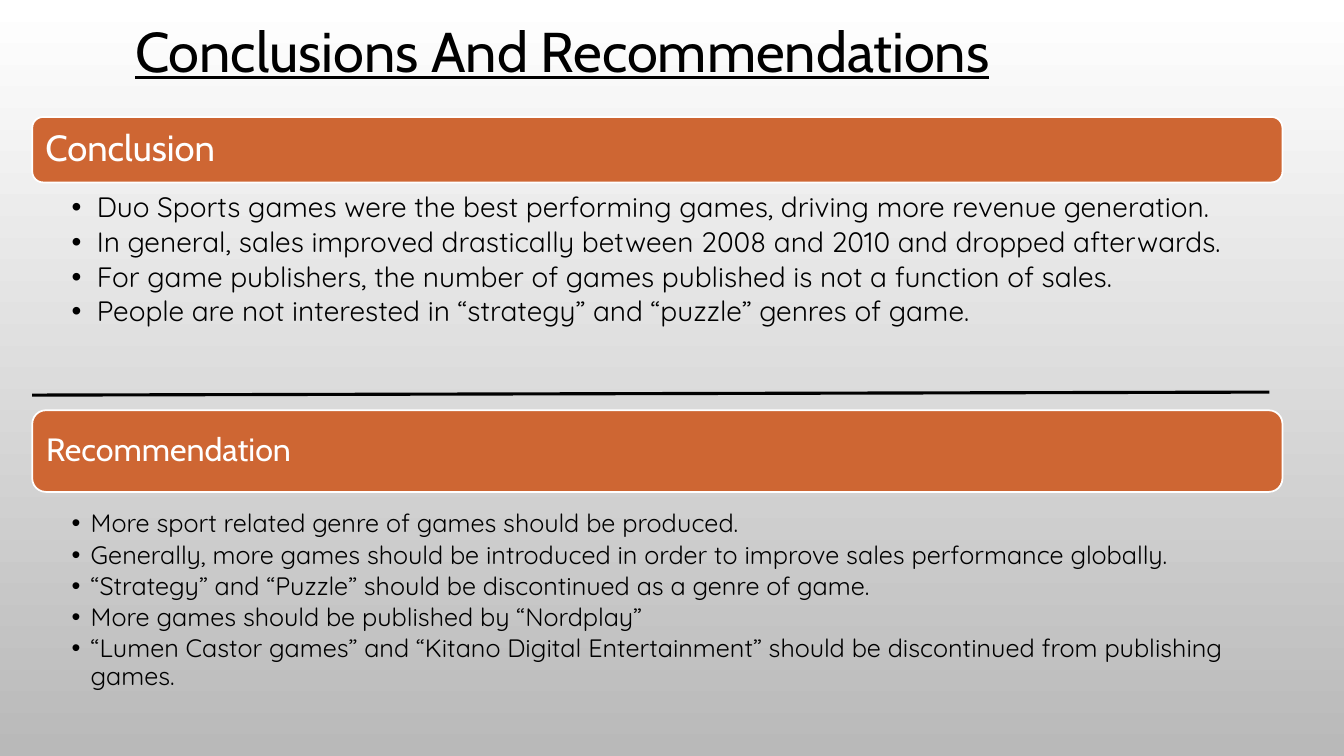
from dataclasses import dataclass

from lxml import etree
from pptx import Presentation
from pptx.dml.color import RGBColor
from pptx.enum import shapes, text
from pptx.oxml import ns
from pptx.util import Inches, Pt


@dataclass(frozen=True)
class Theme:
    heading_font: str = "Cabin"
    body_font: str = "Quicksand"
    black: RGBColor = RGBColor(0x00, 0x00, 0x00)
    white: RGBColor = RGBColor(0xFF, 0xFF, 0xFF)
    grey: RGBColor = RGBColor(0xB9, 0xB9, 0xB9)
    orange: RGBColor = RGBColor(0xCE, 0x66, 0x33)
    title_size: int = 40


theme = Theme()
LEFT, WIDTH = 0.32, 12.4

# Each section: heading, heading size, banner top and height,
# list top and height, list size, bullet indent, right inset, points
sections = [
    ("Conclusion", 26, 1.16, 0.65, 1.89, 1.82, 20, 0.25, 0.2, [
        "Duo Sports games were the best performing games, driving more revenue generation.",
        "In general, sales improved drastically between 2008 and 2010 and dropped afterwards.",
        "For game publishers, the number of games published is not a function of sales.",
        "People are not interested in “strategy” and “puzzle” genres of game.",
    ]),
    ("Recommendation", 23, 4.07, 0.81, 5.04, 1.99, 18, 0.19, 0.14, [
        "More sport related genre of games should be produced.",
        "Generally, more games should be introduced in order to improve sales performance globally.",
        "“Strategy” and “Puzzle” should be discontinued as a genre of game.",
        "More games should be published by “Nordplay”",
        "“Lumen Castor games” and “Kitano Digital Entertainment” should be discontinued from publishing games.",
    ]),
]


def style(paragraph, font_name, size, color):
    paragraph.font.name = font_name
    paragraph.font.size = Pt(size)
    paragraph.font.color.rgb = color


def add_bullet(paragraph, indent):
    properties = paragraph._p.get_or_add_pPr()
    properties.set("marL", str(Inches(indent)))
    properties.set("indent", str(-Inches(indent)))
    font = etree.SubElement(properties, ns.qn("a:buFont"))
    font.set("typeface", "Arial")
    bullet = etree.SubElement(properties, ns.qn("a:buChar"))
    bullet.set("char", "•")


presentation = Presentation()
presentation.slide_width = Inches(13.33)
presentation.slide_height = Inches(7.5)
slide = presentation.slides.add_slide(presentation.slide_layouts[5])

# Background: white at the top to grey at the bottom
background = slide.background.fill
background.gradient()
background.gradient_angle = 270
for stop, color in zip(background.gradient_stops, (theme.white, theme.grey)):
    stop.color.rgb = color

# Title
title = slide.shapes.title
title.left, title.top = Inches(1.24), Inches(0.11)
title.width, title.height = Inches(10.8), Inches(0.77)
title.text_frame.text = "Conclusions And Recommendations"
title.text_frame.vertical_anchor = text.MSO_ANCHOR.TOP
title.text_frame.auto_size = text.MSO_AUTO_SIZE.NONE
paragraph = title.text_frame.paragraphs[0]
paragraph.alignment = text.PP_ALIGN.LEFT
style(paragraph, theme.heading_font, theme.title_size, theme.black)
paragraph.font.underline = True

# Divider between the sections
divider = slide.shapes.add_connector(
    shapes.MSO_CONNECTOR.STRAIGHT,
    Inches(12.59), Inches(3.89), Inches(LEFT), Inches(3.92))
divider.line.color.rgb = theme.black
divider.line.width = Pt(2.25)
etree.SubElement(divider._element.spPr, ns.qn("a:effectLst"))

for (heading, heading_size, banner_top, banner_height, list_top, list_height,
     list_size, indent, right_inset, points) in sections:
    # Banner with the section heading
    banner = slide.shapes.add_shape(
        shapes.MSO_SHAPE.ROUNDED_RECTANGLE,
        Inches(LEFT), Inches(banner_top), Inches(WIDTH), Inches(banner_height))
    banner.shadow.inherit = False
    banner.fill.solid()
    banner.fill.fore_color.rgb = theme.orange
    banner.line.color.rgb = theme.white
    banner.line.width = Pt(1.25)
    frame = banner.text_frame
    frame.text = heading
    frame.vertical_anchor = text.MSO_ANCHOR.MIDDLE
    frame.margin_left = frame.margin_right = Inches(0.1)
    paragraph = frame.paragraphs[0]
    paragraph.alignment = text.PP_ALIGN.LEFT
    paragraph.line_spacing = 0.9
    style(paragraph, theme.heading_font, heading_size, theme.white)

    # Bulleted points
    box = slide.shapes.add_textbox(
        Inches(LEFT), Inches(list_top), Inches(WIDTH), Inches(list_height))
    frame = box.text_frame
    frame.word_wrap = True
    frame.margin_left, frame.margin_right = Inches(0.39), Inches(right_inset)
    frame.margin_top = frame.margin_bottom = Inches(0.03)
    frame.text = "\n".join(points)
    for paragraph in frame.paragraphs:
        paragraph.level = 1
        paragraph.alignment = text.PP_ALIGN.LEFT
        paragraph.line_spacing = 0.9
        paragraph.space_after = Pt(round(list_size * 0.16, 1))
        add_bullet(paragraph, indent)
        style(paragraph, theme.body_font, list_size, theme.black)

presentation.save("out.pptx")
